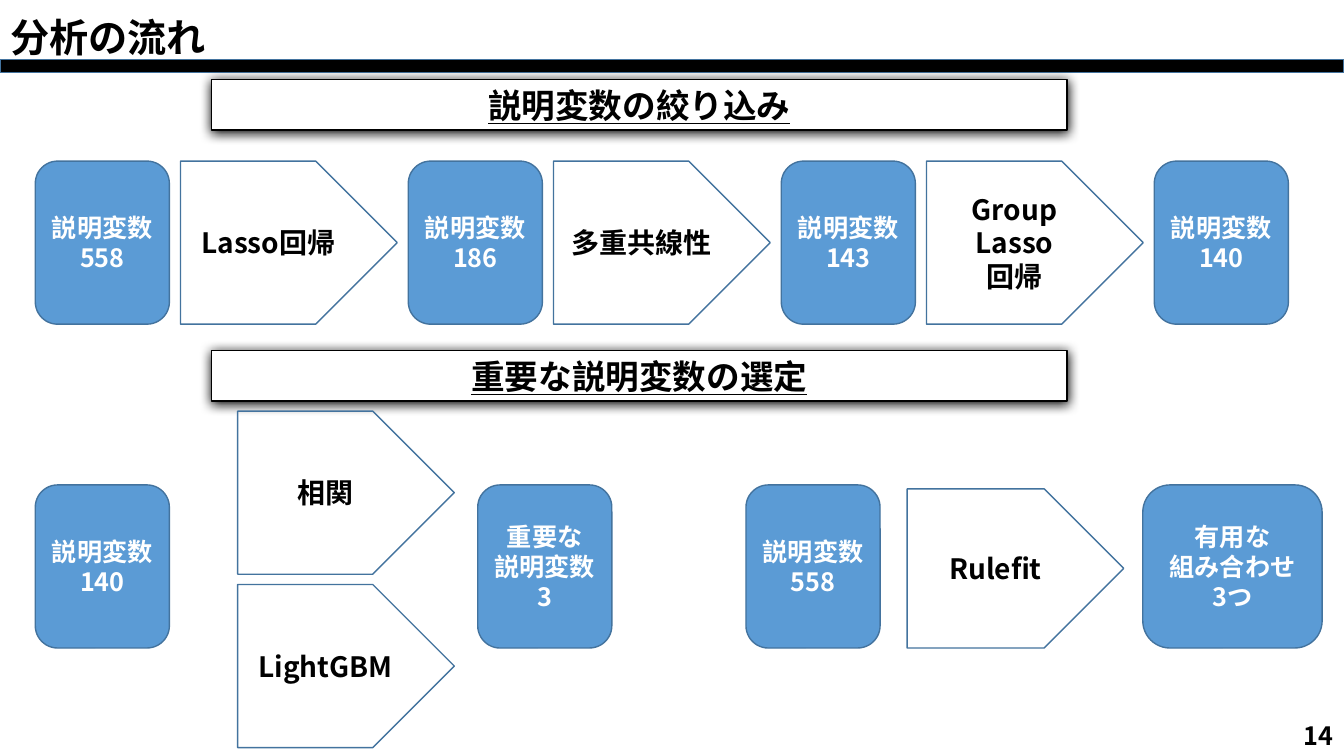
from lxml.etree import SubElement
from pptx import Presentation
from pptx.dml.color import RGBColor
from pptx.enum.shapes import MSO_SHAPE
from pptx.enum.text import MSO_ANCHOR, PP_ALIGN
from pptx.oxml.ns import qn
from pptx.util import Cm, Pt

FONT = "Noto Sans CJK JP"
BLACK, WHITE, BLUE, EDGE = "000000", "FFFFFF", "5B9BD5", "43739E"

TITLE = "分析の流れ"
PAGE_NUMBER = "14"
# Banner text, top
BANNERS = [("説明変数の絞り込み", 2.01), ("重要な説明変数の選定", 8.84)]

# Narrowing down, from left to right
VARIABLE_COUNTS = ["558", "186", "143", "140"]
NARROWING_METHODS = [["Lasso回帰"], ["多重共線性"], ["Group Lasso", "回帰"]]

# Selection: lines, left, width
SELECTION_STATES = [
    (["説明変数", "140"], 0.89, 3.38),
    (["重要な", "説明変数", "3"], 12.04, 3.38),
    (["説明変数", "558"], 18.8, 3.38),
    (["有用な", "組み合わせ", "3つ"], 28.8, 4.52),
]
# Selection: lines, left, top, height
SELECTION_METHODS = [
    (["相関"], 5.99, 10.36, 4.11),
    (["LightGBM"], 5.99, 14.73, 4.11),
    (["Rulefit"], 22.86, 12.32, 4.01),
]

SLIDE_W, SLIDE_H = 33.87, 19.05
STATE_W, METHOD_W, STEP_H = 3.38, 5.46, 4.11
MARGIN, GAP = 0.89, 0.28
NARROWING_TOP, SELECTION_TOP = 4.06, 12.22
PITCH = STATE_W + METHOD_W + 2 * GAP


def rgb(value):
    return RGBColor.from_string(value)


def write(frame, lines, size, color=BLACK, align=PP_ALIGN.CENTER, underline=None):
    frame.word_wrap = True
    frame.vertical_anchor = MSO_ANCHOR.MIDDLE
    for i, line in enumerate(lines):
        paragraph = frame.paragraphs[0] if i == 0 else frame.add_paragraph()
        paragraph.alignment = align
        run = paragraph.add_run()
        run.text = line
        font = run.font
        font.name, font.size, font.bold = FONT, Pt(size), True
        font.underline = underline
        font.color.rgb = rgb(color)
        SubElement(font._element, qn("a:ea"), typeface=FONT)


def add_block(preset, left, top, width, height, fill, edge):
    block = slide.shapes.add_shape(preset, Cm(left), Cm(top), Cm(width), Cm(height))
    block.shadow.inherit = False
    if fill:
        block.fill.solid()
        block.fill.fore_color.rgb = rgb(fill)
    else:
        block.fill.background()
    block.line.color.rgb = rgb(edge)
    block.line.width = Pt(1)
    return block


def add_state(lines, left, top, width=STATE_W):
    state = add_block(MSO_SHAPE.ROUNDED_RECTANGLE, left, top, width, STEP_H, BLUE, EDGE)
    state.text_frame.margin_left = state.text_frame.margin_right = Cm(0.2)
    write(state.text_frame, lines, 18, WHITE)


def add_method(lines, left, top, height=STEP_H):
    method = add_block(MSO_SHAPE.PENTAGON, left, top, METHOD_W, height, None, EDGE)
    write(method.text_frame, lines, 20)


def add_banner(label, top):
    banner = add_block(MSO_SHAPE.RECTANGLE, 5.33, top, 21.56, 1.27, WHITE, BLACK)
    effects = banner._element.spPr.find(qn("a:effectLst"))
    shadow = SubElement(effects, qn("a:outerShdw"), blurRad=str(Pt(8.5)),
                        dist=str(Pt(1)), dir="5400000", algn="t", rotWithShape="0")
    SubElement(shadow, qn("a:srgbClr"), val=BLACK)
    write(banner.text_frame, [label], 24, underline=True)


prs = Presentation()
prs.slide_width, prs.slide_height = Cm(SLIDE_W), Cm(SLIDE_H)
slide = prs.slides.add_slide(prs.slide_layouts[5])

title = slide.shapes.title
title.left, title.top, title.width, title.height = Cm(0), Cm(-0.84), Cm(SLIDE_W), Cm(3.68)
write(title.text_frame, [TITLE], 28, align=PP_ALIGN.LEFT)
title.text_frame.paragraphs[0].line_spacing = 0.9
add_block(MSO_SHAPE.RECTANGLE, 0, 1.5, SLIDE_W, 0.33, BLACK, EDGE)

for label, top in BANNERS:
    add_banner(label, top)

for i, count in enumerate(VARIABLE_COUNTS):
    add_state(["説明変数", count], MARGIN + i * PITCH, NARROWING_TOP)
for i, lines in enumerate(NARROWING_METHODS):
    add_method(lines, MARGIN + STATE_W + GAP + i * PITCH, NARROWING_TOP)

for lines, left, width in SELECTION_STATES:
    add_state(lines, left, SELECTION_TOP, width)
for lines, left, top, height in SELECTION_METHODS:
    add_method(lines, left, top, height)

page_number = slide.shapes.add_textbox(Cm(26.24), Cm(18.03), Cm(7.62), Cm(1.02))
write(page_number.text_frame, [PAGE_NUMBER], 18, align=PP_ALIGN.RIGHT)

prs.save("out.pptx")
